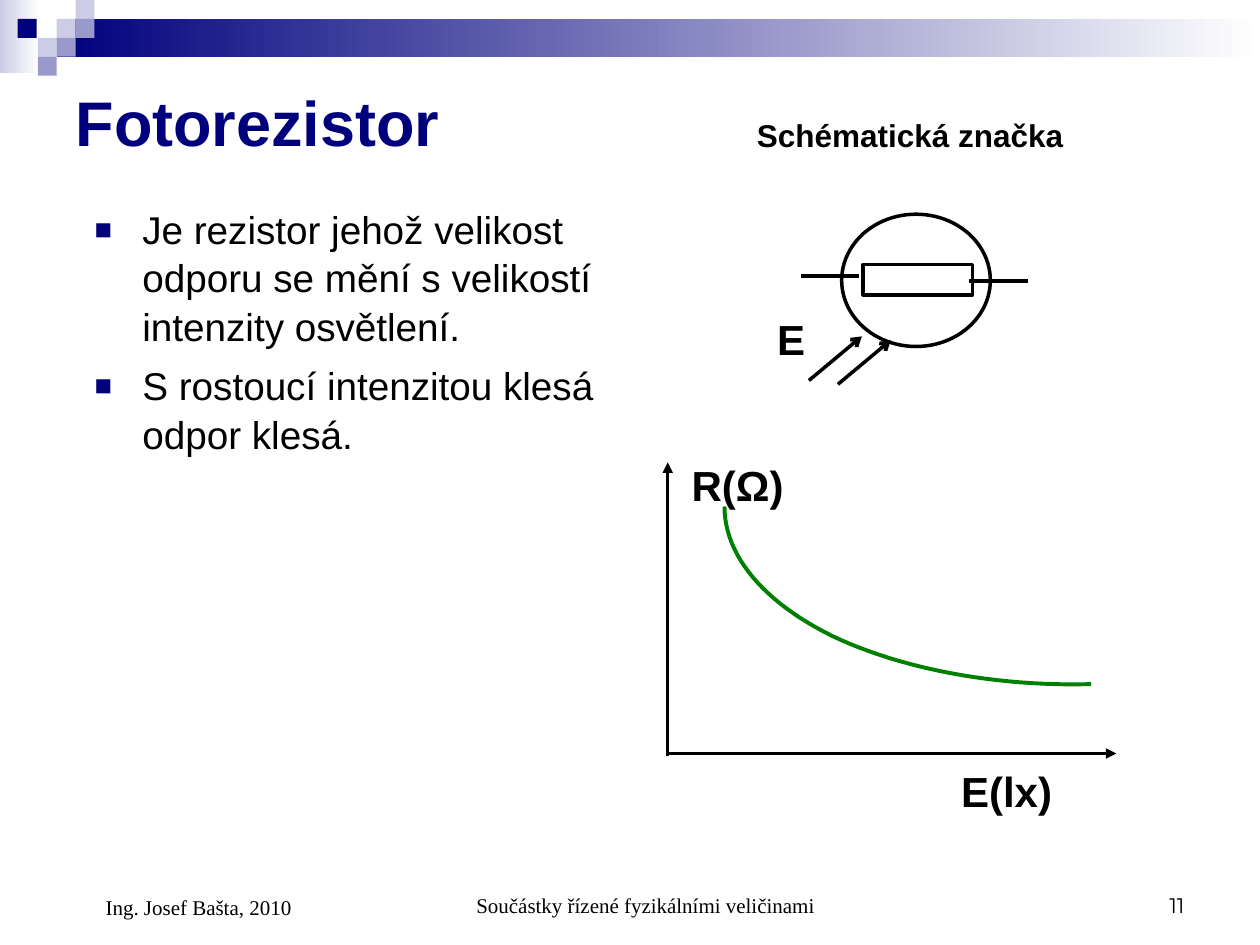
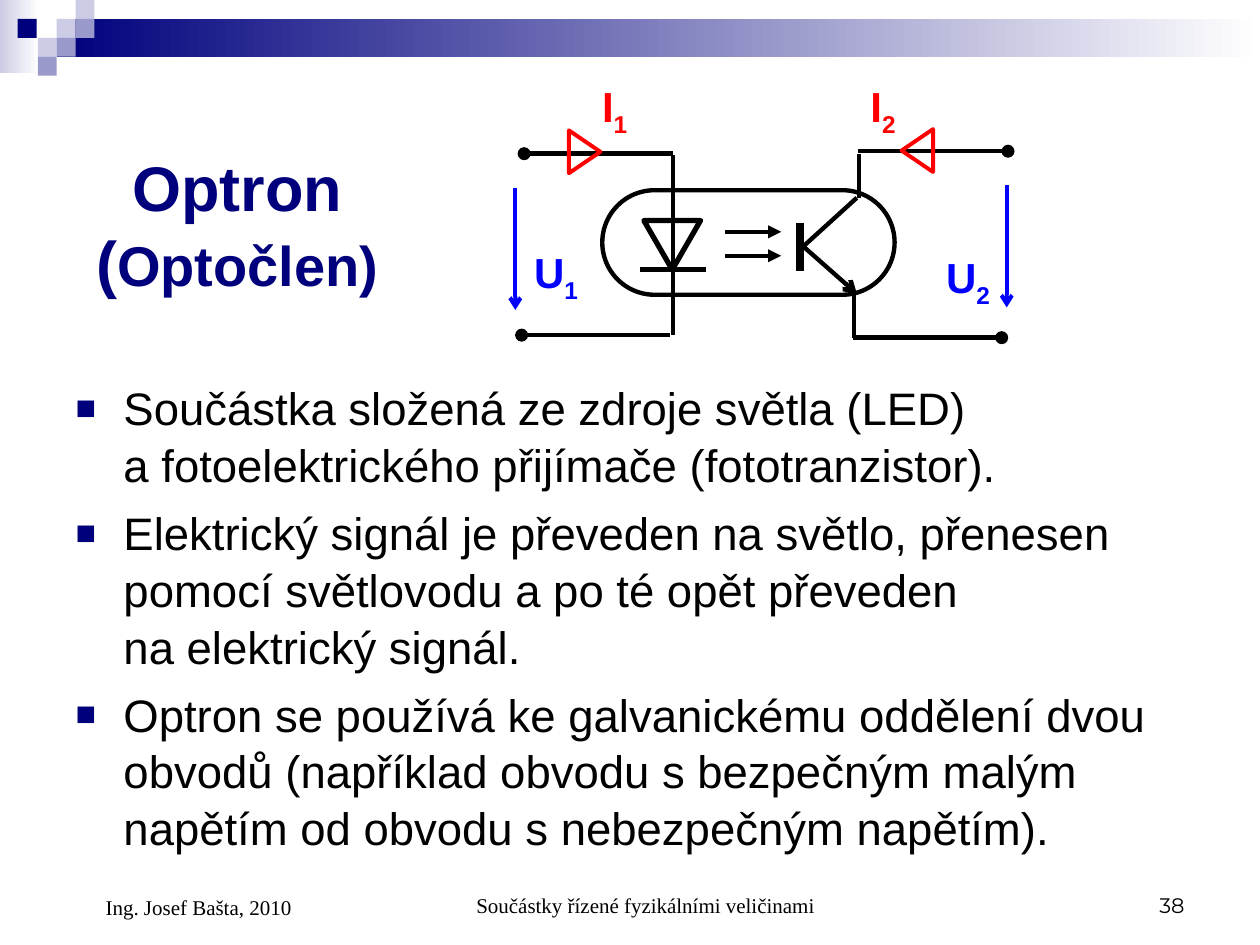
from dataclasses import dataclass

from lxml import etree
from pptx import Presentation
from pptx import util as u
from pptx.dml.color import RGBColor
from pptx.enum import shapes, text
from pptx.oxml import ns

Inches, Pt = u.Inches, u.Pt
SHAPE, ALIGN, ANCHOR = shapes.MSO_SHAPE, text.PP_ALIGN, text.MSO_ANCHOR


@dataclass(frozen=True)
class Theme:
    navy: str = "00007D"
    lavender: str = "9999CC"
    pale: str = "CCCCE6"
    white: str = "FFFFFF"
    black: str = "000000"
    red: str = "FF0000"
    blue: str = "0000FF"
    green: str = "008000"
    sans: str = "Arial"
    serif: str = "Times New Roman"
    number: str = "Montserrat"
    title: float = 36
    subtitle: float = 32
    label: float = 24
    caption: float = 18
    footer: float = 12


THEME = Theme()


def color(code):
    return RGBColor.from_string(code)


def set_values(target, values):
    for name, value in values.items():
        setattr(target, name, value)


def add_xml(parent, tag, **values):
    child = etree.SubElement(parent, ns.qn(tag))
    for name, value in values.items():
        child.set(name, str(value))
    return child


def bezier(start, first, second, end, steps=24):
    for step in range(1, steps + 1):
        t = step / steps
        weights = ((1 - t) ** 3, 3 * t * (1 - t) ** 2, 3 * t * t * (1 - t), t ** 3)
        points = (start, first, second, end)
        yield tuple(sum(w * p[axis] for w, p in zip(weights, points)) for axis in (0, 1))


class Builder:
    def __init__(self, theme):
        self.theme = theme
        self.deck = Presentation()
        set_values(self.deck, {"slide_width": Inches(10), "slide_height": Inches(7.5)})
        self.page = None

    def new_page(self, number):
        self.page = self.deck.slides.add_slide(self.deck.slide_layouts[1])
        self.band()
        self.footers(number)

    def band(self):
        theme = self.theme
        for place, start in (((0, 0, 0.31, 0.58), theme.pale),
                             ((0.45, 0.15, 9.55, 0.3), theme.navy)):
            fill = self.shape(SHAPE.RECTANGLE, place).fill
            fill.gradient()
            fill.gradient_angle = 0
            for stop, code in zip(fill.gradient_stops, (start, theme.white)):
                stop.color.rgb = color(code)
        squares = ((0.45, 0.15, theme.pale), (0.6, 0, theme.pale),
                   (0.6, 0.15, theme.lavender), (0.3, 0.3, theme.pale),
                   (0.14, 0.15, theme.navy), (0.45, 0.3, theme.lavender),
                   (0.3, 0.45, theme.lavender))
        for left, top, code in squares:
            self.shape(SHAPE.RECTANGLE, (left, top, 0.15, 0.15), fill=code)

    def footers(self, number):
        theme = self.theme
        entries = (
            ((3.42, 6.83, 3.17, 0.5), "Součástky řízené fyzikálními veličinami",
             theme.serif, ALIGN.CENTER, 0.24),
            ((7.17, 6.83, 2.33, 0.5), number, theme.number, ALIGN.RIGHT, 0),
            ((0.5, 6.83, 2.33, 0.52), "Ing. Josef Bašta, 2010",
             theme.serif, ALIGN.LEFT, 0.24))
        for place, words, font, align, indent in entries:
            self.label(place, words, size=theme.footer, font=font, bold=False,
                       align=align, anchor=ANCHOR.BOTTOM, indent=indent)

    def span(self, para, words, size, code, font=None, bold=False):
        span = para.add_run()
        span.text = words
        set_values(span.font, {"name": font or self.theme.sans,
                               "size": Pt(size), "bold": bold})
        span.font.color.rgb = color(code)
        return span

    def frame(self, box, anchor):
        frame = box.text_frame
        set_values(frame, {
            "word_wrap": True, "auto_size": text.MSO_AUTO_SIZE.NONE,
            "vertical_anchor": anchor,
            "margin_left": Inches(0.1), "margin_right": Inches(0.1),
            "margin_top": Inches(0.05), "margin_bottom": Inches(0.05)})
        return frame

    def move(self, box, place):
        set_values(box, dict(zip(("left", "top", "width", "height"), map(Inches, place))))

    def title(self, place, lines, align=ALIGN.LEFT):
        box = self.page.shapes.title
        self.move(box, place)
        para = self.frame(box, ANCHOR.MIDDLE).paragraphs[0]
        para.alignment = align
        for index, line in enumerate(lines):
            if index:
                para.add_line_break()
            for words, size in line:
                self.span(para, words, size, self.theme.navy, bold=True)

    def bullets(self, place, items, size):
        box = self.page.placeholders[1]
        self.move(box, place)
        frame = self.frame(box, ANCHOR.TOP)
        for index, item in enumerate(items):
            para = frame.add_paragraph() if index else frame.paragraphs[0]
            set_values(para, {"alignment": ALIGN.LEFT, "line_spacing": 1.04,
                              "space_before": Pt(6.5 if index else 0)})
            props = para._p.get_or_add_pPr()
            props.set("marL", str(Inches(0.38)))
            props.set("indent", str(-Inches(0.38)))
            add_xml(add_xml(props, "a:buClr"), "a:srgbClr", val=self.theme.navy)
            add_xml(props, "a:buSzPct", val=75000)
            add_xml(props, "a:buFont", typeface=self.theme.sans)
            add_xml(props, "a:buChar", char="■")
            for line_index, line in enumerate(item.split("\n")):
                if line_index:
                    para.add_line_break()
                self.span(para, line, size, self.theme.black)

    def label(self, place, words, code=None, size=None, font=None, bold=True,
              align=ALIGN.LEFT, anchor=ANCHOR.TOP, indent=0, subscript=""):
        box = self.page.shapes.add_textbox(*map(Inches, place))
        para = self.frame(box, anchor).paragraphs[0]
        para.alignment = align
        if indent:
            para._p.get_or_add_pPr().set("marL", str(Inches(indent)))
        style = (size or self.theme.label, code or self.theme.black, font, bold)
        self.span(para, words, *style)
        if subscript:
            low = self.span(para, subscript, *style)
            low._r.get_or_add_rPr().set("baseline", "-25000")

    def outline(self, item, code, width):
        item.line.color.rgb = color(code)
        item.line.width = Pt(width)

    def shape(self, kind, place, fill=None, line=None, width=2, rotation=0, adjust=None):
        item = self.page.shapes.add_shape(kind, *map(Inches, place))
        item.shadow.inherit = False
        item.rotation = rotation
        if adjust is not None:
            item.adjustments[0] = adjust
        if fill:
            item.fill.solid()
            item.fill.fore_color.rgb = color(fill)
        else:
            item.fill.background()
        if line:
            self.outline(item, line, width)
        else:
            item.line.fill.background()
        return item

    def line(self, start, end, width=2.5, code=None, tip=None):
        item = self.page.shapes.add_connector(
            shapes.MSO_CONNECTOR.STRAIGHT, *map(Inches, (*start, *end)))
        self.outline(item, code or self.theme.black, width)
        if tip:
            add_xml(item.line._get_or_add_ln(), "a:tailEnd", type=tip)
        add_xml(item._element.spPr, "a:effectLst")

    def curve(self, start, segments, code, width):
        points, here = [], start
        for segment in segments:
            points += bezier(here, *segment)
            here = segment[-1]
        builder = self.page.shapes.build_freeform(*map(Inches, start), scale=1.0)
        builder.add_line_segments([tuple(map(Inches, point)) for point in points], close=False)
        item = builder.convert_to_shape()
        item.shadow.inherit = False
        item.fill.background()
        self.outline(item, code, width)


def photoresistor(build):
    theme = build.theme
    build.new_page("11")
    build.title((0.5, 0.5, 9, 0.92), [[("Fotorezistor", theme.title)]])
    build.bullets((0.65, 1.57, 4.3, 2.55), [
        "Je rezistor jehož velikost odporu se mění s velikostí intenzity osvětlení.",
        "S rostoucí intenzitou klesá odpor klesá."], 22.1)

    build.line((5.29, 5.98), (8.86, 5.98), 1.5, tip="triangle")
    build.line((5.3, 6), (5.3, 3.67), 1.5, tip="triangle")
    build.label((7.53, 6.03, 1.3, 0.5), "E(lx)")
    build.label((5.39, 3.6, 1.02, 0.5), "R(Ω)")
    build.curve((8.66, 5.43), [((7.9, 5.45), (7.16, 5.31), (6.61, 5.05)),
                               ((6.06, 4.78), (5.75, 4.41), (5.75, 4.02))],
                theme.green, 2.25)

    build.label((5.91, 0.87, 2.93, 0.4), "Schématická značka", size=theme.caption)
    build.shape(SHAPE.RECTANGLE, (6.85, 2.1, 0.87, 0.24), line=theme.black)
    build.line((8.16, 2.23), (7.69, 2.23), 2)
    build.line((6.82, 2.19), (6.36, 2.19), 2)
    build.label((6.07, 2.44, 0.52, 0.5), "E")
    build.shape(SHAPE.OVAL, (6.68, 1.7, 1.18, 1.05), line=theme.black)
    for left, top in ((6.42, 2.67), (6.65, 2.7)):
        build.line((left, top + 0.35), (left + 0.42, top), 2, tip="arrow")


def optocoupler(build):
    theme = build.theme
    build.new_page("38")
    build.title((0.58, 0.98, 2.61, 1.59),
                [[("Optron", theme.title)],
                 [("(", theme.title), ("Optočlen)", theme.subtitle)]], ALIGN.CENTER)
    build.bullets((0.5, 2.95, 9, 3.74), [
        "Součástka složená ze zdroje světla (LED) \n"
        "a fotoelektrického přijímače (fototranzistor).",
        "Elektrický signál je převeden na světlo, přenesen pomocí světlovodu "
        "a po té opět převeden \nna elektrický signál.",
        "Optron se používá ke galvanickému oddělení dvou obvodů (například obvodu "
        "s bezpečným malým napětím od obvodu s nebezpečným napětím)."], 26)

    build.shape(SHAPE.ROUNDED_RECTANGLE, (4.78, 1.51, 2.32, 0.83),
                line=theme.black, width=2.5, adjust=0.5)
    build.shape(SHAPE.ISOSCELES_TRIANGLE, (5.11, 1.75, 0.45, 0.39),
                line=theme.black, width=3, rotation=180)
    build.line((5.6, 2.14), (5.08, 2.14), 3)
    build.line((6.35, 1.77), (6.35, 2.15), 5)
    build.line((6.38, 1.96), (6.8, 2.33), tip="arrow")
    wires = (((5.34, 1.23), (5.34, 2.66)), ((6.36, 1.97), (6.8, 1.57)),
             ((6.78, 2.68), (6.78, 2.33)), ((6.82, 1.57), (6.82, 1.22)))
    for start, end in wires:
        build.line(start, end)
    for top in (1.84, 2.03):
        build.line((5.75, top), (6.2, top), tip="triangle")
    terminals = ((5.34, 4.16, 1.22), (5.32, 4.14, 2.66),
                 (6.81, 8, 1.2), (6.77, 7.95, 2.68))
    for inner, outer, top in terminals:
        build.line((inner, top), (outer, top), tip="oval")

    for left, top, rotation in ((4.47, 1.08, 90), (7.11, 1.07, 270)):
        build.shape(SHAPE.ISOSCELES_TRIANGLE, (left, top, 0.34, 0.25),
                    line=theme.red, width=2.25, rotation=rotation)
    for left, top in ((4.09, 1.49), (7.99, 1.47)):
        build.line((left, top), (left, top + 0.97), 2.25, theme.blue, "arrow")
    quantities = (("I", "1", 4.68, 0.59, theme.red), ("I", "2", 6.81, 0.59, theme.red),
                  ("U", "1", 4.14, 1.91, theme.blue), ("U", "2", 7.41, 1.95, theme.blue))
    for symbol, index, left, top, code in quantities:
        build.label((left, top, 0.59, 0.56), symbol, code, subscript=index)


def main():
    build = Builder(THEME)
    photoresistor(build)
    optocoupler(build)
    build.deck.save("out.pptx")


if __name__ == "__main__":
    main()
